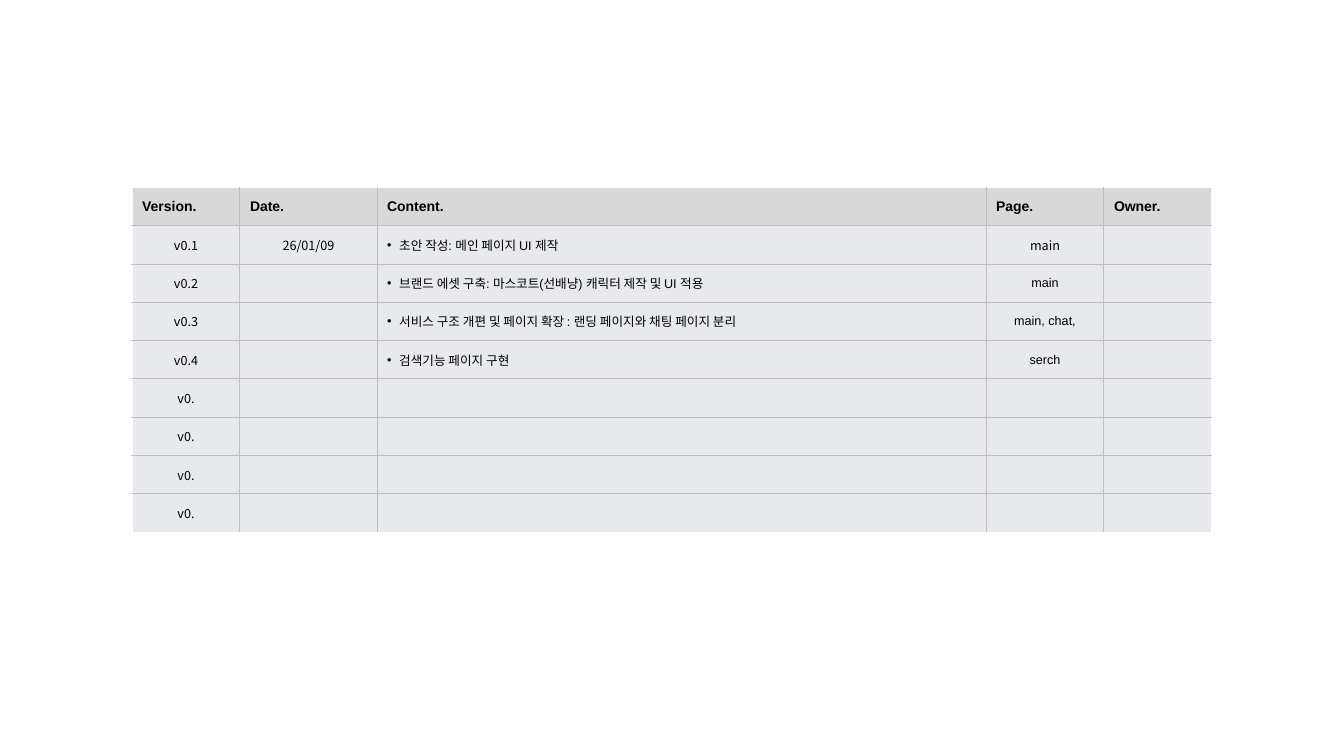
from dataclasses import dataclass

from lxml.etree import SubElement
from pptx import Presentation
from pptx.dml.color import RGBColor as RGB
from pptx.enum.text import MSO_ANCHOR as ANCHOR, PP_ALIGN as ALIGN
from pptx.oxml.ns import qn
from pptx.util import Inches, Pt


@dataclass(frozen=True)
class Theme:
    text: str = "000000"
    header: str = "D8D8D8"
    body: str = "E7E9EC"
    grid: str = "BFBFBF"
    edge: str = "FFFFFF"
    latin: str = "Arial"
    korean: str = "Noto Sans CJK KR"
    header_size: int = 10
    body_size: int = 9
    grid_width: float = 0.75
    edge_width: float = 1


THEME = Theme()
HEADERS = ["Version.", "Date.", "Content.", "Page.", "Owner."]
HISTORY = [
    ["v0.1", "26/01/09", "초안 작성: 메인 페이지 UI 제작", "main", ""],
    ["v0.2", "", "브랜드 에셋 구축: 마스코트(선배냥) 캐릭터 제작 및 UI 적용", "main", ""],
    ["v0.3", "", "서비스 구조 개편 및 페이지 확장 : 랜딩 페이지와 채팅 페이지 분리",
     "main, chat,", ""],
    ["v0.4", "", "검색기능 페이지 구현", "serch", ""],
] + [["v0.", "", "", "", ""]] * 4
COL_WIDTHS = [1.07, 1.36, 6.04, 1.17, 1.07]
ROW_HEIGHT = 0.38
CONTENT_COL, PAGE_COL = 2, 3


def set_border(cell, side, color, width):
    """Draw one side (L, R, T or B); the line must precede the cell fill."""
    ln = SubElement(cell._tc.get_or_add_tcPr(), qn(f"a:ln{side}"), w=str(Pt(width)))
    fill = SubElement(ln, qn("a:solidFill"))
    SubElement(fill, qn("a:srgbClr"), val=color)


def add_bullet(p):
    pPr = p._p.get_or_add_pPr()
    pPr.set("marL", str(Inches(0.12)))
    pPr.set("indent", str(Inches(-0.12)))
    color = SubElement(pPr, qn("a:buClr"))
    SubElement(color, qn("a:srgbClr"), val=THEME.text)
    SubElement(pPr, qn("a:buFont"), typeface=THEME.latin)
    SubElement(pPr, qn("a:buChar"), char="•")


def write_text(p, text, **font):
    """Write one run, or keep an empty cell at the body type size."""
    if not text:
        SubElement(p._p, qn("a:endParaRPr"), sz=str(THEME.body_size * 100))
        return
    r = p.add_run()
    r.text = text
    for name, value in font.items():
        setattr(r.font, name, value)
    r.font.color.rgb = RGB.from_string(THEME.text)
    SubElement(r._r.get_or_add_rPr(), qn("a:ea"), typeface=THEME.korean)


def style_cell(cell, row, col):
    last_row, last_col = len(HISTORY), len(HEADERS) - 1
    grid = (THEME.grid, THEME.grid_width)
    edge = (THEME.edge, THEME.edge_width)
    borders = {
        "L": edge if col == 0 else grid,
        "R": edge if col == last_col else grid,
        "T": edge if row == 0 else grid,
        "B": edge if row == last_row else grid,
    }
    for side, line in borders.items():
        set_border(cell, side, *line)
    cell.fill.solid()
    cell.fill.fore_color.rgb = RGB.from_string(THEME.body if row else THEME.header)
    cell.vertical_anchor = ANCHOR.MIDDLE


def fill_cell(cell, row, col, text):
    style_cell(cell, row, col)
    p = cell.text_frame.paragraphs[0]
    if row == 0:
        write_text(p, text, size=Pt(THEME.header_size), name=THEME.latin, bold=True)
        return
    if col != CONTENT_COL:
        p.alignment = ALIGN.CENTER
    elif text:
        add_bullet(p)
    # Later page names and all descriptions use the Latin face
    use_latin = col == CONTENT_COL or (col == PAGE_COL and row > 1)
    name = THEME.latin if use_latin else THEME.korean
    write_text(p, text, size=Pt(THEME.body_size), name=name, bold=False)


def add_history_table(slide):
    rows = [HEADERS] + HISTORY
    frame = slide.shapes.add_table(
        len(rows), len(HEADERS), Inches(1.31), Inches(1.86),
        Inches(sum(COL_WIDTHS)), Inches(ROW_HEIGHT * len(rows)))
    table = frame.table
    table.first_row = table.horz_banding = False
    for column, width in zip(table.columns, COL_WIDTHS):
        column.width = Inches(width)
    for i, values in enumerate(rows):
        table.rows[i].height = Inches(ROW_HEIGHT)
        for j, text in enumerate(values):
            fill_cell(table.cell(i, j), i, j, text)


def main():
    prs = Presentation()
    prs.slide_width, prs.slide_height = Inches(13.33), Inches(7.5)
    slide = prs.slides.add_slide(prs.slide_layouts[6])
    # Version history
    add_history_table(slide)
    prs.save("out.pptx")


if __name__ == "__main__":
    main()
